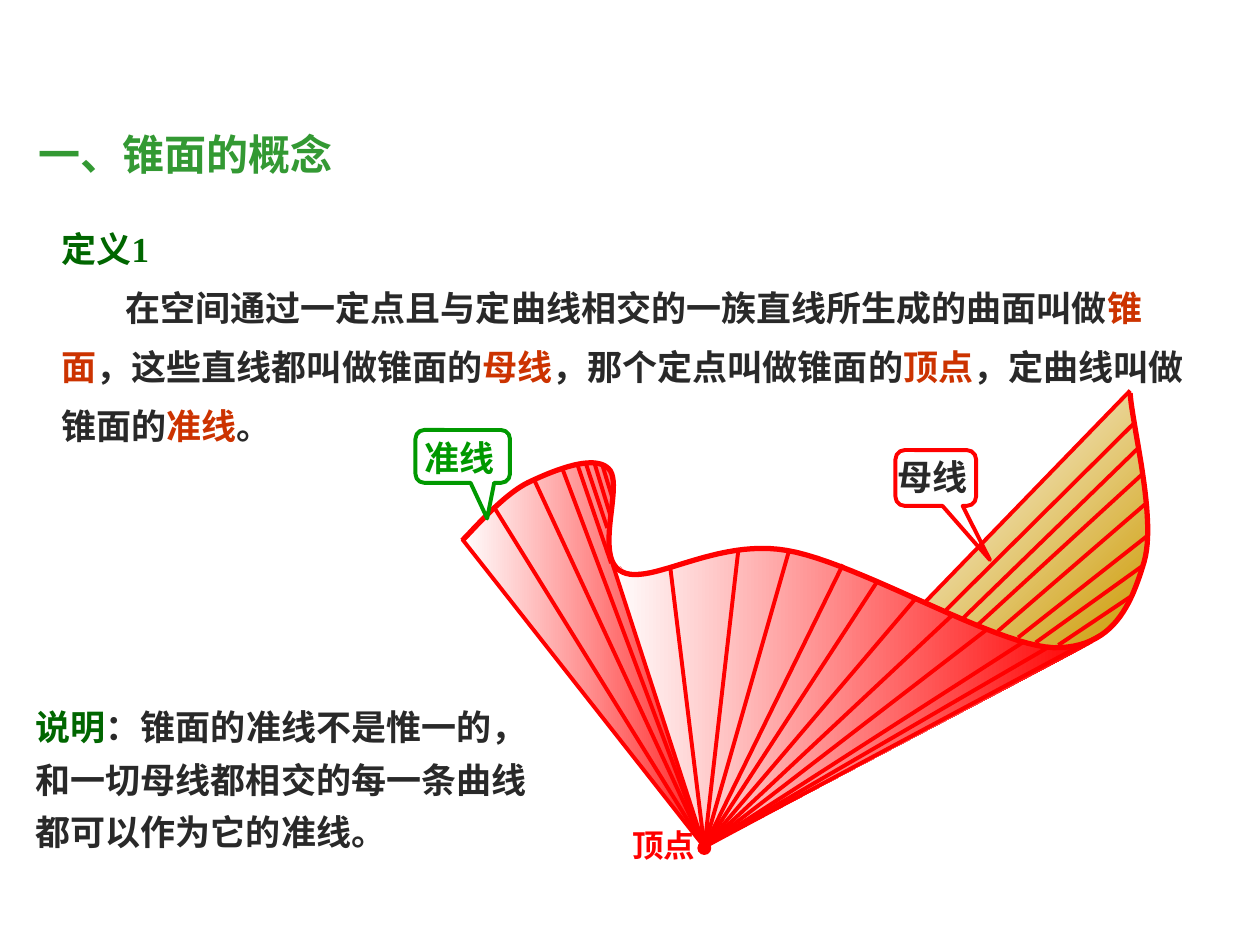
from dataclasses import dataclass
from typing import NamedTuple

from lxml import etree
from pptx import Presentation
from pptx import util as u
from pptx.dml import color
from pptx.enum import shapes, text
from pptx.oxml import ns


class Theme:
    """Colours, fonts and sizes of the page."""
    RED, GOLD, WHITE = "FF0000", "CC9900", "FFFFFF"
    TITLE, HEAD, INK, TERM, GUIDE = "339933", "006600", "292929", "CC3300", "009900"
    SERIF, SANS = "Times New Roman", "Arial"
    TITLE_SIZE, BODY_SIZE, SMALL_SIZE = 24, 20, 18
    RULING, CURVE, DOT = 2.24, 3, 0.74


class Span(NamedTuple):
    """A stretch of text in one colour."""
    words: str
    tint: str


@dataclass
class Label:
    """A text box: place in points, and its paragraphs."""
    place: tuple
    paras: list
    size: float = Theme.BODY_SIZE
    font: str = Theme.SERIF
    spacing: float = 1.0
    indent: float = 0
    wrap: bool = True
    centred: bool = False


@dataclass
class Surface:
    """A shaded piece of the cone."""
    outline: list
    tint: str
    angle: float


@dataclass
class Callout:
    """A speech bubble with its tail position."""
    place: tuple
    tail: tuple
    tint: str


def rgb(tint: str) -> color.RGBColor:
    """Turn a hex string into a colour."""
    return color.RGBColor.from_string(tint)


def apply(target, values: dict) -> None:
    """Set every attribute named in a dict."""
    for name, value in values.items():
        setattr(target, name, value)


def stroke(line, tint: str, width: float) -> None:
    """Colour a line and set its width."""
    line.color.rgb = rgb(tint)
    line.width = u.Pt(width)


def add_label(page, label: Label) -> None:
    """Add a text box; punctuation stays inside its margins."""
    box = page.shapes.add_textbox(*map(u.Pt, label.place))
    frame = box.text_frame
    apply(frame, {
        "word_wrap": label.wrap,
        "auto_size": text.MSO_AUTO_SIZE.SHAPE_TO_FIT_TEXT,
        "vertical_anchor": text.MSO_ANCHOR.MIDDLE if label.centred else text.MSO_ANCHOR.TOP,
    })
    for index, spans in enumerate(label.paras):
        para = frame.add_paragraph() if index else frame.paragraphs[0]
        apply(para, {
            "line_spacing": label.spacing,
            "alignment": text.PP_ALIGN.CENTER if label.centred else text.PP_ALIGN.LEFT,
        })
        layout = para._p.get_or_add_pPr()
        layout.set("hangingPunct", "0")
        if index and label.indent:
            layout.set("indent", str(u.Pt(label.indent)))
        for words, tint in spans:
            span = para.add_run()
            span.text = words
            apply(span.font, {"size": u.Pt(label.size), "name": label.font, "bold": True})
            span.font.color.rgb = rgb(tint)


def add_outline(page, points: list, close: bool):
    """Add a freeform through points."""
    corners = [(u.Pt(x), u.Pt(y)) for x, y in points]
    builder = page.shapes.build_freeform(*corners[0], scale=1.0)
    builder.add_line_segments(corners[1:], close=close)
    outline = builder.convert_to_shape()
    outline.shadow.inherit = False
    return outline


def add_surface(page, surface: Surface) -> None:
    """Add a surface that fades to white."""
    outline = add_outline(page, surface.outline, True)
    outline.line.fill.background()
    outline.fill.gradient()
    outline.fill.gradient_angle = surface.angle
    for stop, tint in zip(outline.fill.gradient_stops, (surface.tint, Theme.WHITE)):
        stop.color.rgb = rgb(tint)


def add_ruling(page, start: tuple, end: tuple) -> None:
    """Add one straight line of the cone."""
    ruling = page.shapes.add_connector(shapes.MSO_CONNECTOR.STRAIGHT,
                                       *map(u.Pt, (*start, *end)))
    stroke(ruling.line, Theme.RED, Theme.RULING)
    etree.SubElement(ruling._element.spPr, ns.qn("a:effectLst"))


def sample_curve(start: tuple, pieces: list, steps: int = 24) -> list:
    """Return points along joined cubic Bezier pieces."""
    points = [start]
    for x1, y1, x2, y2, x3, y3 in pieces:
        x0, y0 = points[-1]
        for step in range(1, steps + 1):
            t = step / steps
            weights = ((1 - t) ** 3, 3 * t * (1 - t) ** 2, 3 * t * t * (1 - t), t ** 3)
            points.append((sum(w * x for w, x in zip(weights, (x0, x1, x2, x3))),
                           sum(w * y for w, y in zip(weights, (y0, y1, y2, y3)))))
    return points


def add_callout(page, callout: Callout) -> None:
    """Add an unfilled speech bubble."""
    bubble = page.shapes.add_shape(shapes.MSO_SHAPE.ROUNDED_RECTANGULAR_CALLOUT,
                                   *map(u.Pt, callout.place))
    for index, value in enumerate((*callout.tail, 0.167)):
        bubble.adjustments[index] = value
    bubble.shadow.inherit = False
    bubble.fill.background()
    stroke(bubble.line, callout.tint, Theme.RULING)


APEX = (402.5, 484)
SURFACES = [
    Surface([(264.2, 308.2), (283.7, 290.2), (296.6, 277.9), (311.8, 271.4), (324.7, 265.7),
             (337.7, 263.5), (347.8, 266.4), (349.2, 268.6), (351.4, 277.9), (348.5, 302.4),
             (348.5, 313.9), (349.2, 321.8), (380.2, 357.1), (426.2, 394.6), (393.1, 427.7),
             (398.9, 478.8)], Theme.RED, 180),
    Surface([(402.5, 484.6), (349.2, 319.7), (358.6, 327.6), (378, 325.4), (396.7, 319.7),
             (421.9, 314.6), (447.1, 313.9), (469.4, 319.7), (492.5, 328.3), (516.2, 338.4),
             (527.8, 344.2), (545, 352.1), (558.7, 357.8), (580.3, 365), (603.4, 370.1),
             (625, 367.2)], Theme.RED, 180),
    Surface([(527.8, 344.2), (645.1, 224.6), (648, 235.4), (652.3, 262.1), (654.5, 277.9),
             (655.9, 294.5), (655.9, 311), (653.8, 320.4), (651.6, 329.8), (647.3, 339.8),
             (643.7, 347.8), (635.8, 357.8), (627.1, 364.3), (617.8, 368.6), (607.7, 369.4),
             (594.7, 370.1), (571, 362.2)], Theme.GOLD, 135),
]
APEX_RULINGS = [(264.2, 308.2), (283, 290.9), (305.3, 274.3), (321.1, 267.1), (349.9, 321.8),
                (383, 324), (421.9, 314.6), (450.7, 315.4), (481.7, 322.6), (501.1, 332.6),
                (522.7, 342.7), (544.3, 351.4), (564.5, 359.3), (585.4, 366.5),
                (599.8, 369.4), (630, 362.2)]
SHORT_RULINGS = [
    ((329.8, 265), (349.2, 321.8)), ((334.8, 265), (347, 301.7)),
    ((339.8, 265), (349.2, 295.9)), ((344.2, 265.7), (349.9, 284.4)),
    ((645.8, 223.2), (528.5, 344.2)), ((648, 241.9), (540.7, 348.5)),
    ((650.9, 255.6), (550.1, 353.5)), ((652.3, 271.4), (558.7, 357.1)),
    ((654.5, 288), (570.2, 360.7)), ((655.9, 306), (581.8, 364.3)),
    ((653, 323.3), (591.8, 367.2)), ((646.6, 340.6), (604.8, 368.6)),
]
DIRECTRIX = sample_curve((264.2, 308.9), [
    (270, 303.1, 287.3, 283, 301.7, 275.8), (315.4, 269.3, 339.1, 259.2, 347.8, 267.8),
    (357.1, 276.5, 338.4, 319, 355.7, 326.9), (372.2, 334.8, 409, 307.4, 450, 314.6),
    (491, 321.8, 568.1, 368.6, 601.9, 370.1), (636.5, 370.8, 646.6, 344.9, 653.8, 321.1),
    (661, 296.6, 647.3, 244.8, 645.8, 224.6)])
CALLOUTS = [Callout((237.4, 245.7, 54, 30.2), (0.259, 1.175), Theme.GUIDE),
            Callout((511.7, 257.2, 46.1, 31.9), (0.672, 1.469), Theme.RED)]
DEFINITION = [Span("在空间通过一定点且与定曲线相交的一族直线所生成的曲面叫做", Theme.INK),
              Span("锥面", Theme.TERM), Span("，这些直线都叫做锥面的", Theme.INK),
              Span("母线", Theme.TERM), Span("，那个定点叫做锥面的", Theme.INK),
              Span("顶点", Theme.TERM), Span("，定曲线叫做锥面的", Theme.INK),
              Span("准线", Theme.TERM), Span("。", Theme.INK)]
REMARK = [[Span("说明", Theme.HEAD), Span("：锥面的准线不是惟一的，", Theme.INK)],
          [Span("和一切母线都相交的每一条曲线", Theme.INK)],
          [Span("都可以作为它的准线。", Theme.INK)]]
LABELS = [
    Label((14.8, 69.8, 182.2, 36), [[Span("一、锥面的概念", Theme.TITLE)]],
          Theme.TITLE_SIZE, Theme.SANS, wrap=False),
    Label((28.1, 117, 666, 141.8), [[Span("定义1", Theme.HEAD)], DEFINITION],
          spacing=1.4, indent=36.5),
    Label((13.3, 393.8, 300, 97.2), REMARK, spacing=1.25),
    Label((342, 468.3, 74.9, 28.8), [[Span("顶点", Theme.RED)]], Theme.SMALL_SIZE, centred=True),
    Label((235.4, 245.9, 58.3, 31.7), [[Span("准线", Theme.GUIDE)]]),
    Label((496.1, 256.6, 74.2, 31.7), [[Span("母线", Theme.INK)]], centred=True),
]

deck = Presentation()
apply(deck, {"slide_width": u.Pt(720), "slide_height": u.Pt(540)})
page = deck.slides.add_slide(deck.slide_layouts[6])
for surface in SURFACES:
    add_surface(page, surface)
for start, end in [(point, APEX) for point in APEX_RULINGS] + SHORT_RULINGS:
    add_ruling(page, start, end)
directrix = add_outline(page, DIRECTRIX, False)
directrix.fill.background()
stroke(directrix.line, Theme.RED, Theme.CURVE)
vertex = page.shapes.add_shape(shapes.MSO_SHAPE.OVAL, *map(u.Pt, (398.9, 481, 7.2, 7.2)))
vertex.shadow.inherit = False
vertex.fill.solid()
vertex.fill.fore_color.rgb = rgb(Theme.RED)
stroke(vertex.line, Theme.RED, Theme.DOT)
for callout in CALLOUTS:
    add_callout(page, callout)
for label in LABELS:
    add_label(page, label)
deck.save("out.pptx")
